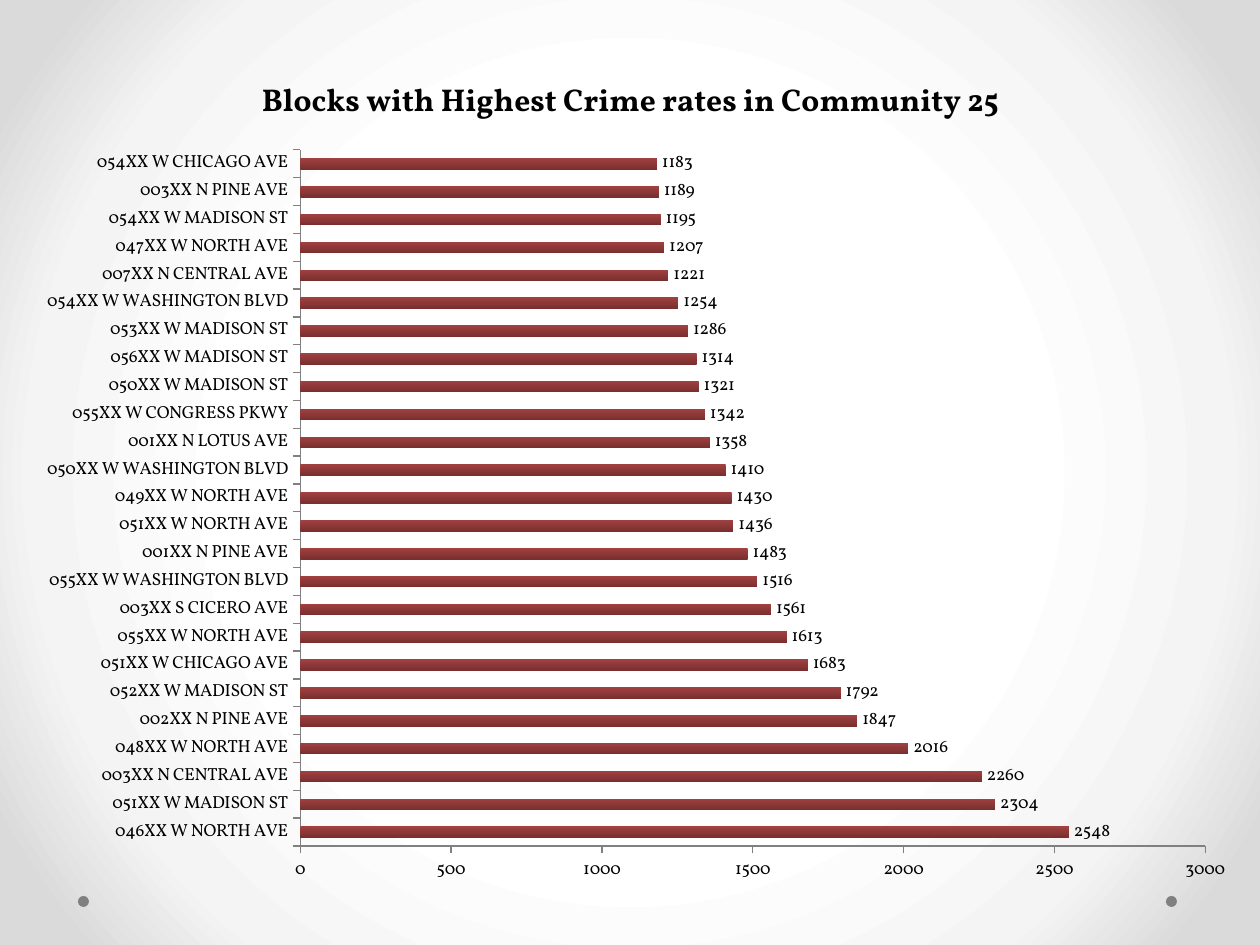
from lxml import etree
from pptx import Presentation
from pptx import util as u
from pptx.chart.data import CategoryChartData
from pptx.dml.color import RGBColor
from pptx.enum import chart as ch, shapes
from pptx.oxml import parse_xml
from pptx.oxml.ns import nsdecls, qn

PX = 914400 // 126
FONT = "Vollkorn"
COLORS = {"text": "000000", "axis": "808080", "dot": "808080",
          "bar_top": "A24141", "bar_bottom": "7A2F2F",
          "bg_center": "FFFFFF", "bg_mid": "F4F4F4", "bg_edge": "DADADA"}
BLOCKS = [
    ("046XX W NORTH AVE", 2548), ("051XX W MADISON ST", 2304),
    ("003XX N CENTRAL AVE", 2260), ("048XX W NORTH AVE", 2016),
    ("002XX N PINE AVE", 1847), ("052XX W MADISON ST", 1792),
    ("051XX W CHICAGO AVE", 1683), ("055XX W NORTH AVE", 1613),
    ("003XX S CICERO AVE", 1561), ("055XX W WASHINGTON BLVD", 1516),
    ("001XX N PINE AVE", 1483), ("051XX W NORTH AVE", 1436),
    ("049XX W NORTH AVE", 1430), ("050XX W WASHINGTON BLVD", 1410),
    ("001XX N LOTUS AVE", 1358), ("055XX W CONGRESS PKWY", 1342),
    ("050XX W MADISON ST", 1321), ("056XX W MADISON ST", 1314),
    ("053XX W MADISON ST", 1286), ("054XX W WASHINGTON BLVD", 1254),
    ("007XX N CENTRAL AVE", 1221), ("047XX W NORTH AVE", 1207),
    ("054XX W MADISON ST", 1195), ("003XX N PINE AVE", 1189),
    ("054XX W CHICAGO AVE", 1183)]


def rgb(name):
    return RGBColor.from_string(COLORS[name])


def style(font, size=10, bold=False, color="text"):
    font.name, font.size, font.bold = FONT, u.Pt(size), bold
    font.color.rgb = rgb(color)


def put_text(tf, text, **fmt):
    r = tf.paragraphs[0].add_run()
    r.text = text
    style(r.font, **fmt)


def paint_background(s):
    """Radial gradient from the slide centre outwards."""
    fill = s.background.fill
    fill.gradient()
    grad = s.element.find(".//" + qn("a:gradFill"))
    stops = "".join(
        f'<a:gs pos="{pos * 1000}"><a:srgbClr val="{COLORS[c]}"/></a:gs>'
        for pos, c in ((50, "bg_center"), (76, "bg_mid"), (92, "bg_edge")))
    grad.getparent().replace(grad, parse_xml(
        f'<a:gradFill {nsdecls("a")} rotWithShape="1"><a:gsLst>{stops}</a:gsLst>'
        '<a:path path="circle"><a:fillToRect l="50000" t="50000" r="50000" b="50000"/>'
        '</a:path></a:gradFill>'))


def add_dots(s, x, y, w, d):
    """A dot of diameter d at each end of a strip of width w."""
    for left in (x, x + w - d):
        sp = s.shapes.add_shape(shapes.MSO_SHAPE.OVAL, *(v * PX for v in (left, y, d, d)))
        sp.shadow.inherit = False
        sp.fill.solid()
        sp.fill.fore_color.rgb = rgb("dot")
        sp.line.fill.background()


def set_plot_box(chart, x, y, w, h):
    """Place the inner plot area, in fractions of the chart."""
    area = chart.element.find(".//" + qn("c:plotArea"))
    for old in area.findall(qn("c:layout")):
        area.remove(old)
    layout = etree.Element(qn("c:layout"))
    manual = etree.SubElement(layout, qn("c:manualLayout"))
    for tag, val in (("layoutTarget", "inner"), ("xMode", "edge"), ("yMode", "edge"),
                     ("x", x), ("y", y), ("w", w), ("h", h)):
        etree.SubElement(manual, qn("c:" + tag)).set("val", str(val))
    area.insert(0, layout)


def add_crime_chart(s, x, y, w, h):
    data = CategoryChartData()
    data.categories = [name for name, _ in BLOCKS]
    data.add_series("Series 1", [count for _, count in BLOCKS])
    chart = s.shapes.add_chart(ch.XL_CHART_TYPE.BAR_CLUSTERED,
                               *(v * PX for v in (x, y, w, h)), data).chart
    style(chart.font)
    chart.has_legend = False
    chart.has_title = True
    put_text(chart.chart_title.text_frame,
             "Blocks with Highest Crime rates in Community 25", size=18, bold=True)
    set_plot_box(chart, 0.23, 0.12, 0.74, 0.82)

    for axis in (chart.category_axis, chart.value_axis):
        axis.has_major_gridlines = False
        axis.major_tick_mark = ch.XL_TICK_MARK.OUTSIDE
        axis.format.line.color.rgb = rgb("axis")
        style(axis.tick_labels.font)
    axis.minimum_scale, axis.maximum_scale, axis.major_unit = 0, 3000, 500

    plot = chart.plots[0]
    plot.gap_width = 150
    plot.vary_by_categories = False
    plot.has_data_labels = True
    labels = plot.data_labels
    labels.show_value = True
    labels.position = ch.XL_LABEL_POSITION.OUTSIDE_END
    style(labels.font)

    fill = plot.series[0].format.fill
    fill.gradient()
    fill.gradient_angle = 270
    for stop, name in zip(fill.gradient_stops, ("bar_top", "bar_bottom")):
        stop.color.rgb = rgb(name)


def main():
    prs = Presentation()
    prs.slide_width, prs.slide_height = u.Inches(10), u.Inches(7.5)
    s = prs.slides.add_slide(prs.slide_layouts[6])
    paint_background(s)
    add_dots(s, 78, 896, 1099, 11)
    add_crime_chart(s, 19, 48, 1223, 849)
    prs.save("out.pptx")


if __name__ == "__main__":
    main()
